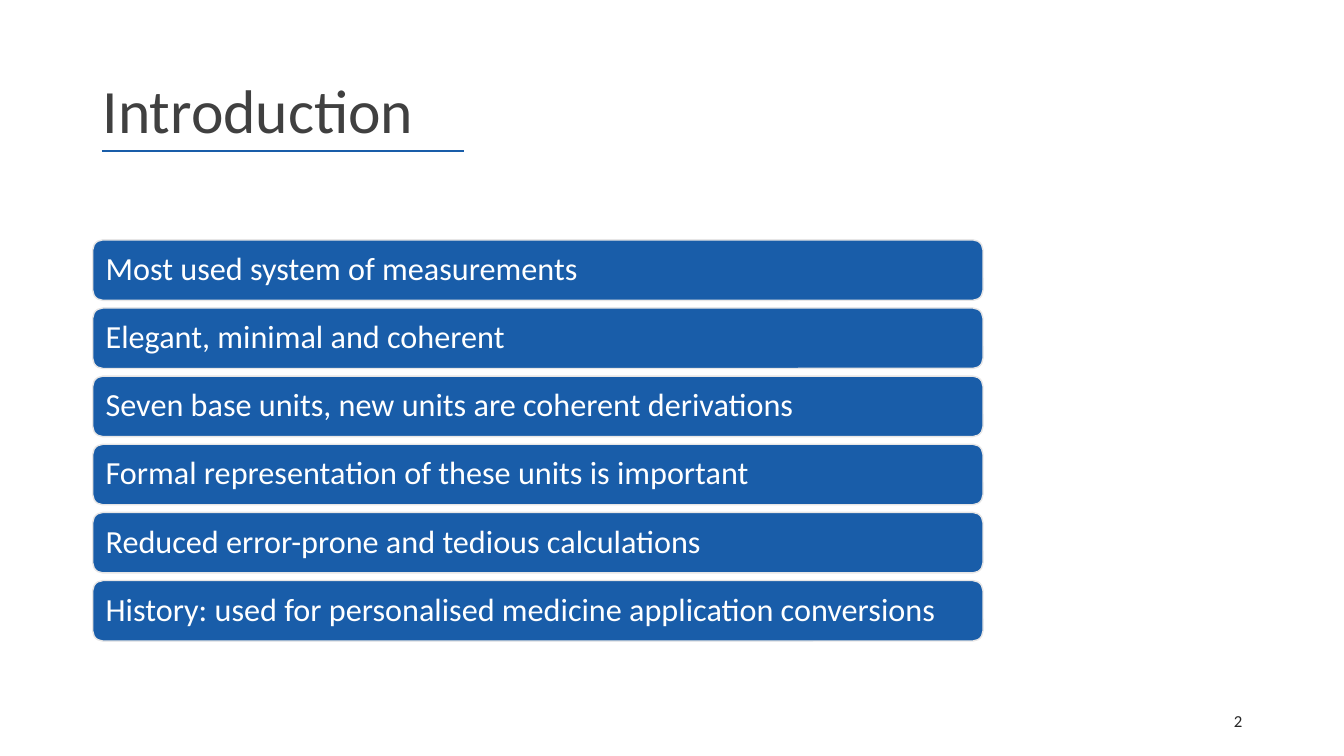
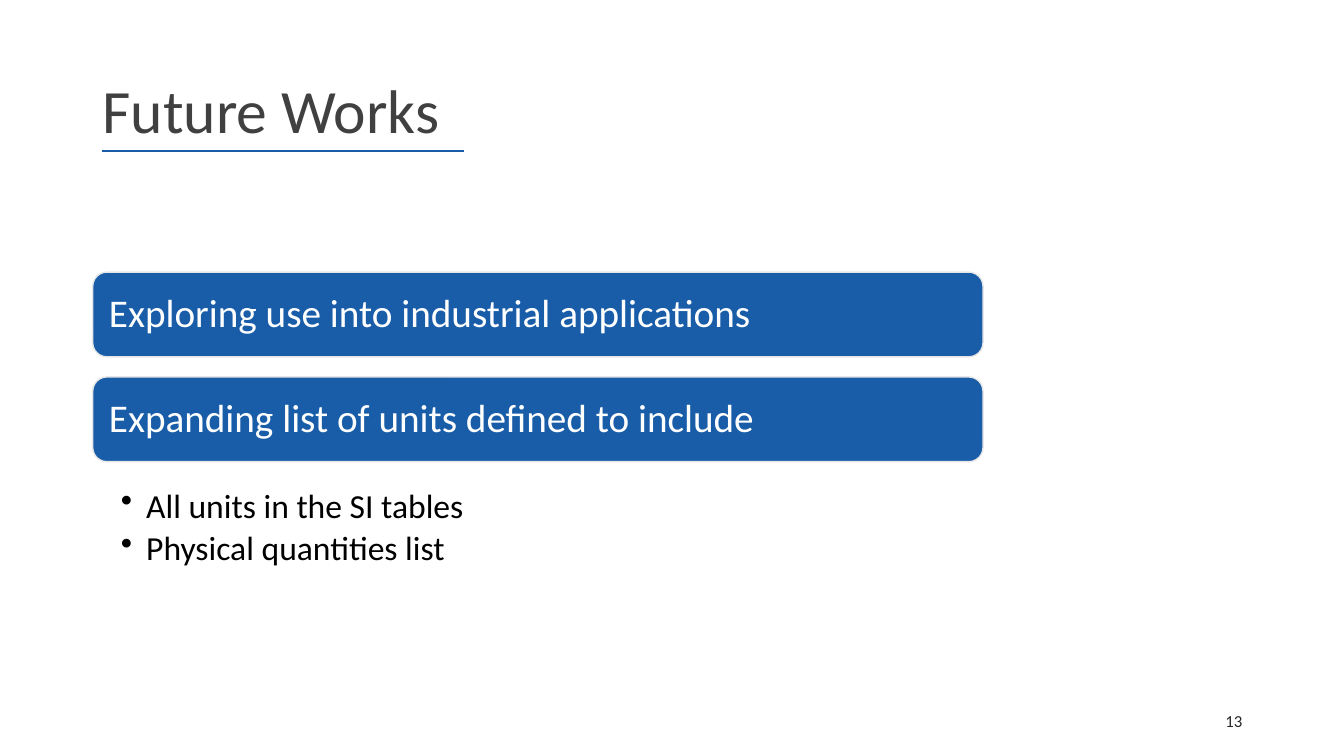
import pptx
import pptx.dml.color
import pptx.enum.shapes
import pptx.enum.text
import pptx.oxml.ns
import pptx.util
from lxml import etree

Inches = pptx.util.Inches
Pt = pptx.util.Pt
ALIGN = pptx.enum.text.PP_ALIGN
ANCHOR = pptx.enum.text.MSO_ANCHOR
FONT = "Calibri"
BLUE, PALE, WHITE, BLACK = "195DA9", "E7E6E6", "FFFFFF", "000000"
TITLE_GREY, NUMBER_GREY = "404040", "262626"
BAR_LEFT, BAR_WIDTH = 0.92, 8.83


def color(hex_text):
    """Return the colour for a hex string."""
    return pptx.dml.color.RGBColor.from_string(hex_text)


def write(sp, lines, size, hex_text, insets=(0.1, 0.05, 0.1, 0.05),
          anchor=ANCHOR.MIDDLE, align=ALIGN.LEFT, spacing=0.9):
    """Fill a shape with formatted paragraphs and return its text frame."""
    tf = sp.text_frame
    tf.word_wrap = True
    tf.vertical_anchor = anchor
    tf.margin_left, tf.margin_top, tf.margin_right, tf.margin_bottom = map(Inches, insets)
    tf.text = "\n".join(lines)
    for p in tf.paragraphs:
        p.alignment = align
        p.line_spacing = spacing
        for r in p.runs:
            r.font.name = FONT
            r.font.size = Pt(size)
            r.font.color.rgb = color(hex_text)
    return tf


def add_text(slide, box, lines, size, hex_text, **style):
    """Add a text box and return its text frame."""
    sp = slide.shapes.add_textbox(*map(Inches, box))
    return write(sp, lines, size, hex_text, **style)


def add_frame(prs, title, number):
    """Add a slide with the shared title, rule and slide number."""
    slide = prs.slides.add_slide(prs.slide_layouts[6])
    add_text(slide, (0.92, 0.4, 11.5, 1.45), [title], 44, TITLE_GREY)
    add_text(slide, (9.42, 6.95, 3, 0.4), [str(number)], 12, NUMBER_GREY,
             align=ALIGN.RIGHT, spacing=1.0)
    rule = slide.shapes.add_connector(
        pptx.enum.shapes.MSO_CONNECTOR.STRAIGHT,
        Inches(1.01), Inches(1.5), Inches(4.6), Inches(1.5))
    rule.line.color.rgb = color(BLUE)
    rule.line.width = Pt(1.5)
    etree.SubElement(rule._element.spPr, pptx.oxml.ns.qn("a:effectLst"))
    return slide


def add_bars(slide, box, labels, bar_height, size, inset):
    """Spread equal rounded bars down the box."""
    left, top, width, height = box
    pitch = (height - bar_height) / (len(labels) - 1)
    for i, label in enumerate(labels):
        sp = slide.shapes.add_shape(
            pptx.enum.shapes.MSO_SHAPE.ROUNDED_RECTANGLE,
            *map(Inches, (left, top + i * pitch, width, bar_height)))
        sp.shadow.inherit = False
        sp.fill.solid()
        sp.fill.fore_color.rgb = color(BLUE)
        sp.line.color.rgb = color(PALE)
        sp.line.width = Pt(1)
        write(sp, [label], size, WHITE, insets=(inset,) * 4)


def add_bullets(slide, box, items):
    """Add a bulleted list with a roomier first line."""
    tf = add_text(slide, box, items, 24, BLACK, insets=(0.28, 0.03, 0.19, 0.03),
                  anchor=ANCHOR.TOP)
    tf.paragraphs[0].line_spacing = 1.5
    for p in tf.paragraphs:
        p.space_after = Pt(4.8)
        pPr = p._p.get_or_add_pPr()
        pPr.set("marL", str(Inches(0.25)))
        pPr.set("indent", str(Inches(-0.25)))
        etree.SubElement(pPr, pptx.oxml.ns.qn("a:buChar")).set("char", "•")


def add_introduction(prs):
    """Build the introduction slide."""
    slide = add_frame(prs, "Introduction", 2)
    add_bars(slide, (BAR_LEFT, 2.38, BAR_WIDTH, 3.98), [
        "Most used system of measurements",
        "Elegant, minimal and coherent",
        "Seven base units, new units are coherent derivations",
        "Formal representation of these units is important",
        "Reduced error-prone and tedious calculations",
        "History: used for personalised medicine application conversions",
    ], 0.6, 23, 0.1)


def add_future_works(prs):
    """Build the future works slide."""
    slide = add_frame(prs, "Future Works", 13)
    add_bars(slide, (BAR_LEFT, 2.7, BAR_WIDTH, 1.88), [
        "Exploring use into industrial applications",
        "Expanding list of units defined to include",
    ], 0.84, 28, 0.12)
    add_bullets(slide, (BAR_LEFT, 4.58, BAR_WIDTH, 1.18),
                ["All units in the SI tables", "Physical quantities list"])


def main():
    """Build and save the presentation."""
    prs = pptx.Presentation()
    prs.slide_width, prs.slide_height = Inches(13.33), Inches(7.5)
    add_introduction(prs)
    add_future_works(prs)
    prs.save("out.pptx")


if __name__ == "__main__":
    main()
